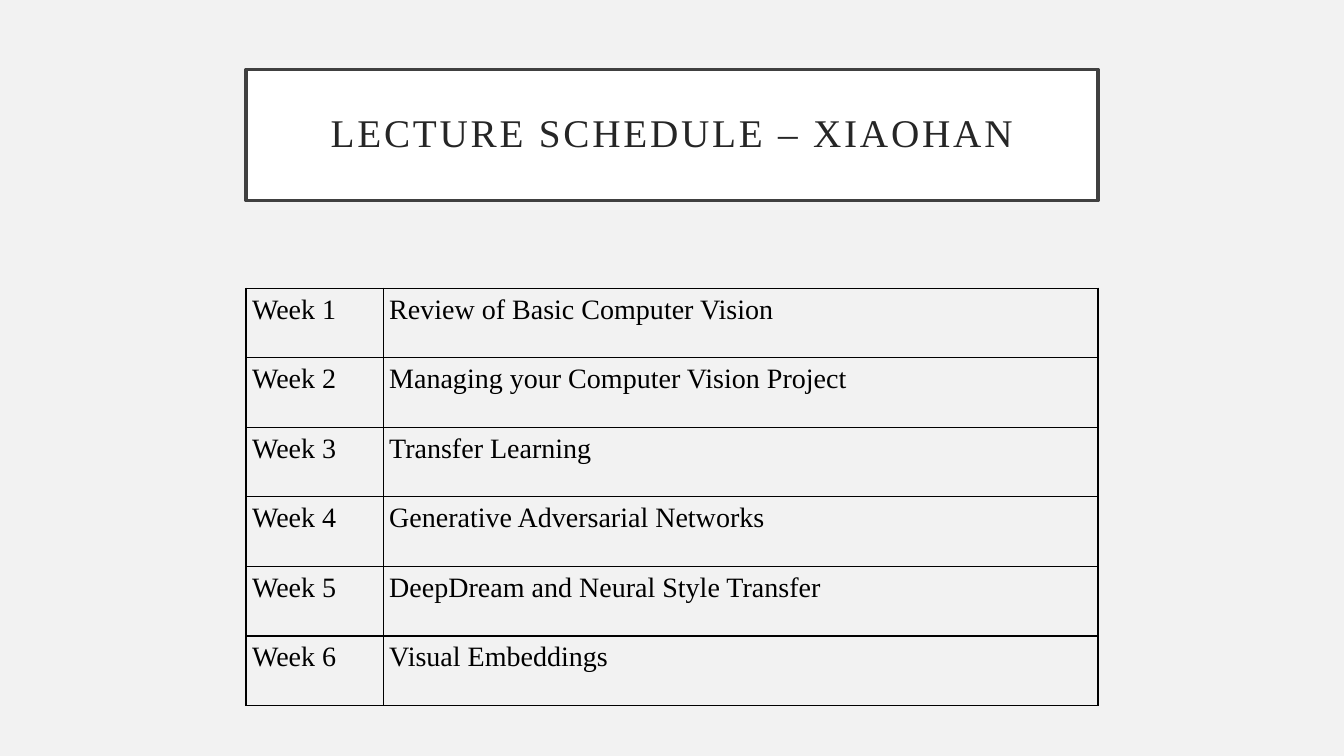
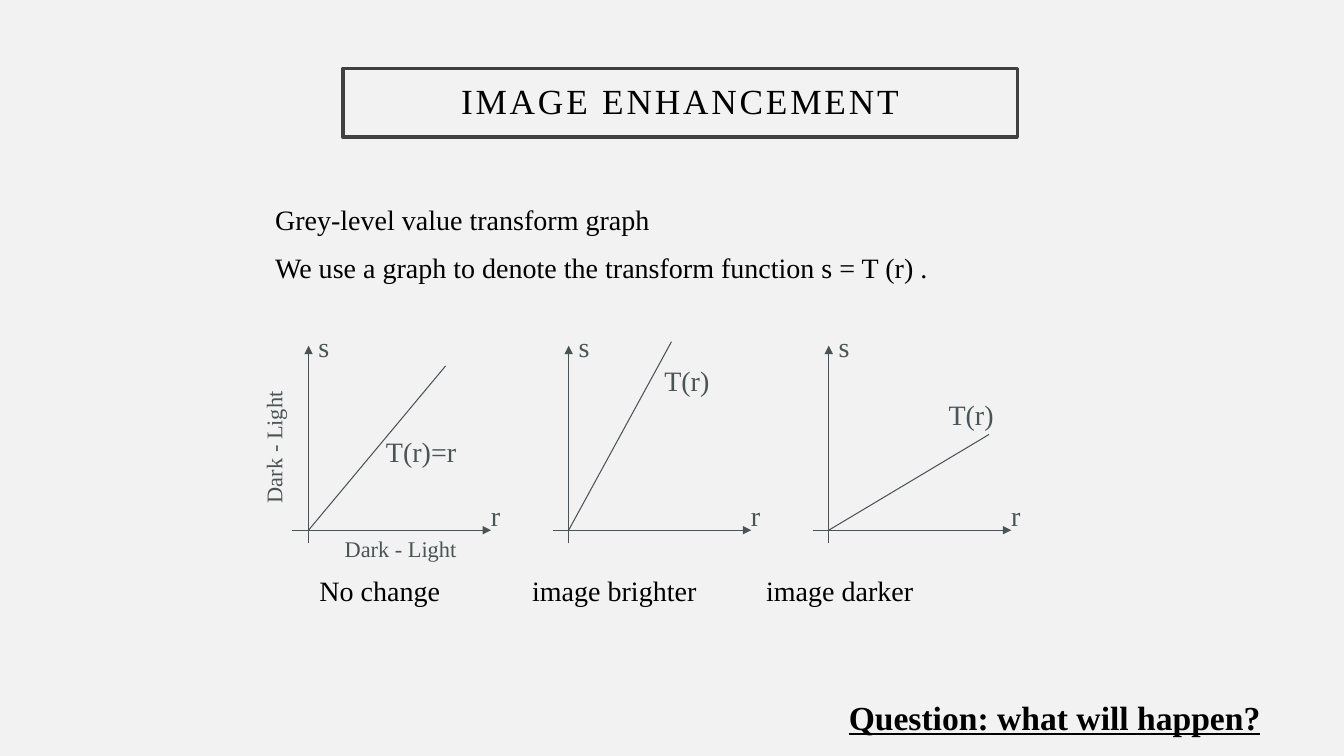
from dataclasses import dataclass

from lxml.etree import SubElement
from pptx import Presentation
from pptx.dml.color import RGBColor
from pptx.enum.shapes import MSO_CONNECTOR, MSO_SHAPE
from pptx.enum.text import MSO_ANCHOR, PP_ALIGN
from pptx.oxml.ns import qn
from pptx.util import Inches, Pt


@dataclass(frozen=True)
class Theme:
    font: str = "Times New Roman"
    back: str = "F2F2F2"
    white: str = "FFFFFF"
    frame: str = "404040"
    title: str = "262626"
    ink: str = "000000"
    graph: str = "4A5356"
    body: float = 20
    axis: float = 16
    question: float = 24


T = Theme()

SCHEDULE = [
    "Review of Basic Computer Vision",
    "Managing your Computer Vision Project",
    "Transfer Learning",
    "Generative Adversarial Networks",
    "DeepDream and Neural Style Transfer",
    "Visual Embeddings",
]
INTRO = [
    "Grey-level value transform graph",
    "We use a graph to denote the transform function s = T (r) .",
]
GRAPHS = [
    dict(run=1.36, rise=1.63, label="T(r)=r", label_at=(0.67, 4.26),
         caption="No change", caption_x=3.07),
    dict(run=1.02, rise=1.87, label="T(r)", label_at=(0.85, 3.56),
         caption="image brighter", caption_x=5.18),
    dict(run=1.59, rise=0.95, label="T(r)", label_at=(1.09, 3.89),
         caption="image darker", caption_x=7.5),
]
RANGE = "Dark - Light"
QUESTION = "Question: what will happen?"

GRAPH_X, GRAPH_STEP, GRAPH_Y = 3.06, 2.58, 5.26


def rgb(value):
    return RGBColor.from_string(value)


def style(p, size, color):
    p.font.name = T.font
    p.font.size = Pt(size)
    p.font.color.rgb = rgb(color)


def add_slide(prs):
    s = prs.slides.add_slide(prs.slide_layouts[6])
    s.background.fill.solid()
    s.background.fill.fore_color.rgb = rgb(T.back)
    return s


def add_title(s, text, box, size, color, fill=None):
    sp = s.shapes.add_shape(MSO_SHAPE.RECTANGLE, *map(Inches, box))
    sp.shadow.inherit = False
    if fill:
        sp.fill.solid()
        sp.fill.fore_color.rgb = rgb(fill)
    else:
        sp.fill.background()
    sp.line.color.rgb = rgb(T.frame)
    sp.line.width = Pt(2.5)
    tf = sp.text_frame
    tf.word_wrap = True
    tf.vertical_anchor = MSO_ANCHOR.MIDDLE
    tf.margin_left = tf.margin_right = Inches(0.2)
    tf.margin_top = tf.margin_bottom = Inches(0.2)
    p = tf.paragraphs[0]
    p.alignment = PP_ALIGN.CENTER
    p.line_spacing = 0.9
    r = p.add_run()
    r.text = text
    r._r.get_or_add_rPr().set("spc", "200")
    style(p, size, color)


def add_text(s, lines, x, y, w, h, size=T.body, color=T.ink):
    sp = s.shapes.add_textbox(*map(Inches, (x, y, w, h)))
    tf = sp.text_frame
    tf.word_wrap = True
    for i, line in enumerate(lines):
        p = tf.add_paragraph() if i else tf.paragraphs[0]
        p.text = line
        style(p, size, color)
        if i:
            p.space_before = Pt(size / 2)
    return sp


def add_line(s, x1, y1, x2, y2, arrow=False):
    c = s.shapes.add_connector(MSO_CONNECTOR.STRAIGHT, *map(Inches, (x1, y1, x2, y2)))
    c.line.color.rgb = rgb(T.graph)
    c.line.width = Pt(0.75)
    if arrow:
        SubElement(c.line._get_or_add_ln(), qn("a:tailEnd"), type="triangle")
    SubElement(c._element.spPr, qn("a:effectLst"))


def add_borders(cell):
    tcPr = cell._tc.get_or_add_tcPr()
    for side in ("a:lnL", "a:lnR", "a:lnT", "a:lnB"):
        ln = SubElement(tcPr, qn(side), w=str(Pt(1)))
        SubElement(SubElement(ln, qn("a:solidFill")), qn("a:srgbClr"), val=T.ink)


def add_schedule(s):
    row_h, widths = 0.69, (1.36, 7.09)
    frame = s.shapes.add_table(len(SCHEDULE), 2, Inches(2.44), Inches(2.86),
                               Inches(sum(widths)), Inches(row_h * len(SCHEDULE)))
    table = frame.table
    table.first_row = table.horz_banding = False
    for col, w in zip(table.columns, widths):
        col.width = Inches(w)
    for i, topic in enumerate(SCHEDULE):
        table.rows[i].height = Inches(row_h)
        for cell, text in zip(table.rows[i].cells, (f"Week {i + 1}", topic)):
            cell.margin_left = cell.margin_right = Inches(0.06)
            cell.margin_top = cell.margin_bottom = Inches(0.06)
            add_borders(cell)
            cell.fill.background()
            p = cell.text_frame.paragraphs[0]
            p.text = text
            style(p, T.body, T.ink)


def add_graph(s, x, graph):
    y = GRAPH_Y
    add_line(s, x, y + 0.13, x, y - 1.83, arrow=True)
    add_line(s, x - 0.16, y, x + 1.81, y, arrow=True)
    add_line(s, x, y, x + graph["run"], y - graph["rise"])
    dx, label_y = graph["label_at"]
    for text, left, top, w in (("r", x + 1.71, y - 0.36, 0.4),
                               ("s", x, y - 2.04, 0.4),
                               (graph["label"], x + dx, label_y, 1.04)):
        add_text(s, [text], left, top, w, 0.44, color=T.graph)
    add_text(s, [graph["caption"]], graph["caption_x"], 5.64, 2, 0.43)


def build_schedule(prs):
    s = add_slide(prs)
    add_title(s, "LECTURE SCHEDULE – XIAOHAN", (2.44, 0.69, 8.45, 1.3), 28, T.title, T.white)
    add_schedule(s)


def build_enhancement(prs):
    s = add_slide(prs)
    add_title(s, "IMAGE ENHANCEMENT", (3.4, 0.68, 6.69, 0.68), 25.2, T.ink)
    add_text(s, INTRO, 2.63, 1.96, 8.5, 1)
    for i, graph in enumerate(GRAPHS):
        add_graph(s, GRAPH_X + i * GRAPH_STEP, graph)
    for x, y, angle in ((1.86, 4.05, 270), (3.32, 5.26, 0)):
        sp = add_text(s, [RANGE], x, y, 1.71, 0.37, T.axis, T.graph)
        sp.rotation = angle
    sp = add_text(s, [QUESTION], 8.32, 6.86, 4.9, 0.5, T.question)
    p = sp.text_frame.paragraphs[0]
    p.font.bold = p.font.underline = True


def main():
    prs = Presentation()
    prs.slide_width, prs.slide_height = Inches(13.33), Inches(7.5)
    build_schedule(prs)
    build_enhancement(prs)
    prs.save("out.pptx")


if __name__ == "__main__":
    main()
